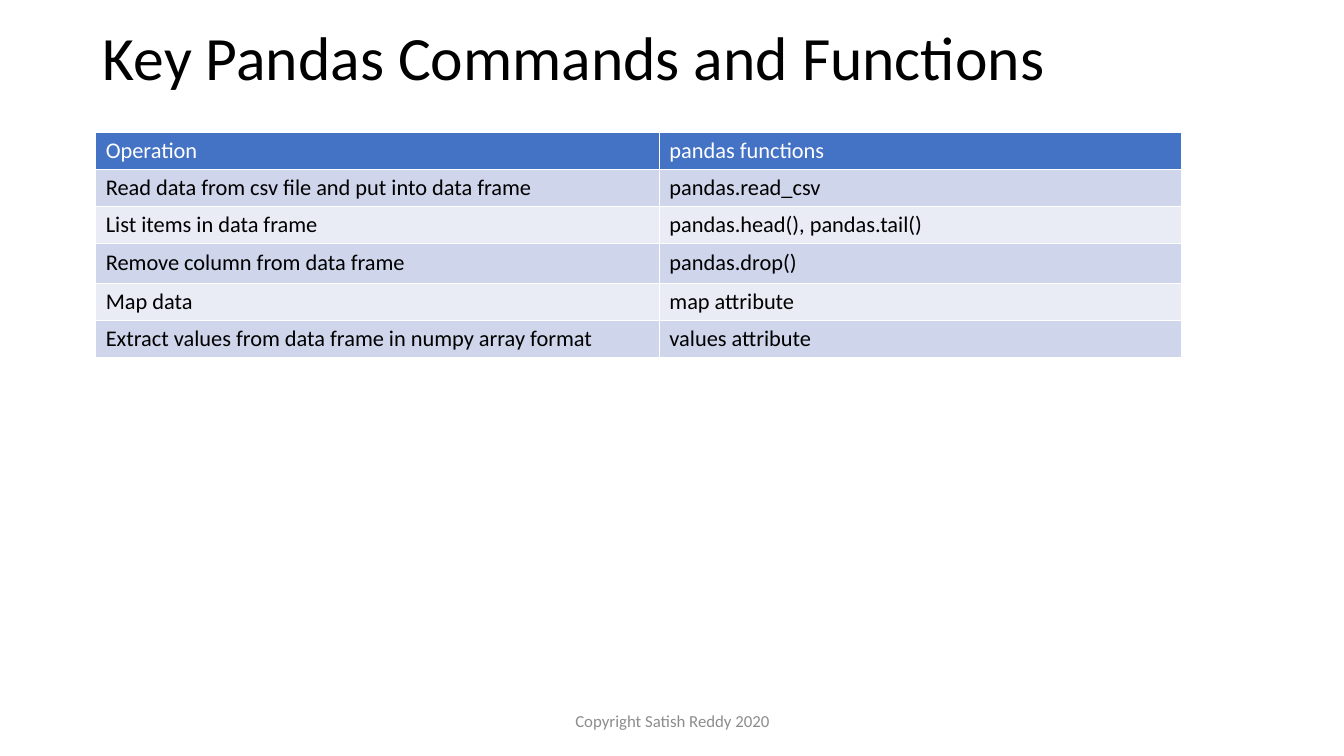
"""Build the slide of key pandas commands and functions."""
import pptx
import pptx.dml.color
import pptx.enum.text
import pptx.util

Inches = pptx.util.Inches
RGBColor = pptx.dml.color.RGBColor
PP_ALIGN = pptx.enum.text.PP_ALIGN
MIDDLE = pptx.enum.text.MSO_ANCHOR.MIDDLE

BLACK = RGBColor(0x00, 0x00, 0x00)
WHITE = RGBColor(0xFF, 0xFF, 0xFF)
GRAY = RGBColor(0x8C, 0x8C, 0x8C)
HEADER_BLUE = RGBColor(0x44, 0x72, 0xC4)
BAND_DARK = RGBColor(0xCF, 0xD5, 0xEA)
BAND_LIGHT = RGBColor(0xE9, 0xEB, 0xF5)


def write(frame, text, size, color=BLACK, align=PP_ALIGN.LEFT, spacing=1.0):
    frame.word_wrap = True
    paragraph = frame.paragraphs[0]
    paragraph.alignment = align
    paragraph.line_spacing = spacing
    run = paragraph.add_run()
    run.text = text
    run.font.name = "Calibri"
    run.font.size = pptx.util.Pt(size)
    run.font.bold = False
    run.font.color.rgb = color


deck = pptx.Presentation()
deck.slide_width = Inches(13.33)
deck.slide_height = Inches(7.5)
slide = deck.slides.add_slide(deck.slide_layouts[5])

title = slide.shapes.title
title.left, title.top = Inches(0.92), Inches(0.12)
title.width, title.height = Inches(11.5), Inches(0.97)
title.text_frame.vertical_anchor = MIDDLE
write(title.text_frame, "Key Pandas Commands and Functions", 44, spacing=0.9)

copyright_line = slide.shapes.add_textbox(Inches(4.42), Inches(6.95), Inches(4.5), Inches(0.4))
copyright_line.text_frame.vertical_anchor = MIDDLE
write(copyright_line.text_frame, "Copyright Satish Reddy 2020", 12, GRAY, PP_ALIGN.CENTER)

operations = [
    ("Operation", "pandas functions"),
    ("Read data from csv file and put into data frame", "pandas.read_csv"),
    ("List items in data frame", "pandas.head(), pandas.tail()"),
    ("Remove column from data frame", "pandas.drop()"),
    ("Map data", "map attribute"),
    ("Extract values from data frame in numpy array format", "values attribute"),
]
row_heights = [0.37, 0.37, 0.37, 0.39, 0.37, 0.37]
commands = slide.shapes.add_table(
    len(operations), 2, Inches(0.95), Inches(1.31), Inches(10.77), Inches(sum(row_heights))
).table
for column, width in zip(commands.columns, (5.59, 5.18)):
    column.width = Inches(width)

for row, (entries, height) in enumerate(zip(operations, row_heights)):
    commands.rows[row].height = Inches(height)
    band = BAND_DARK if row % 2 else BAND_LIGHT
    for column, entry in enumerate(entries):
        cell = commands.cell(row, column)
        cell.fill.solid()
        cell.fill.fore_color.rgb = band if row else HEADER_BLUE
        write(cell.text_frame, entry, 16, BLACK if row else WHITE)

deck.save("out.pptx")
